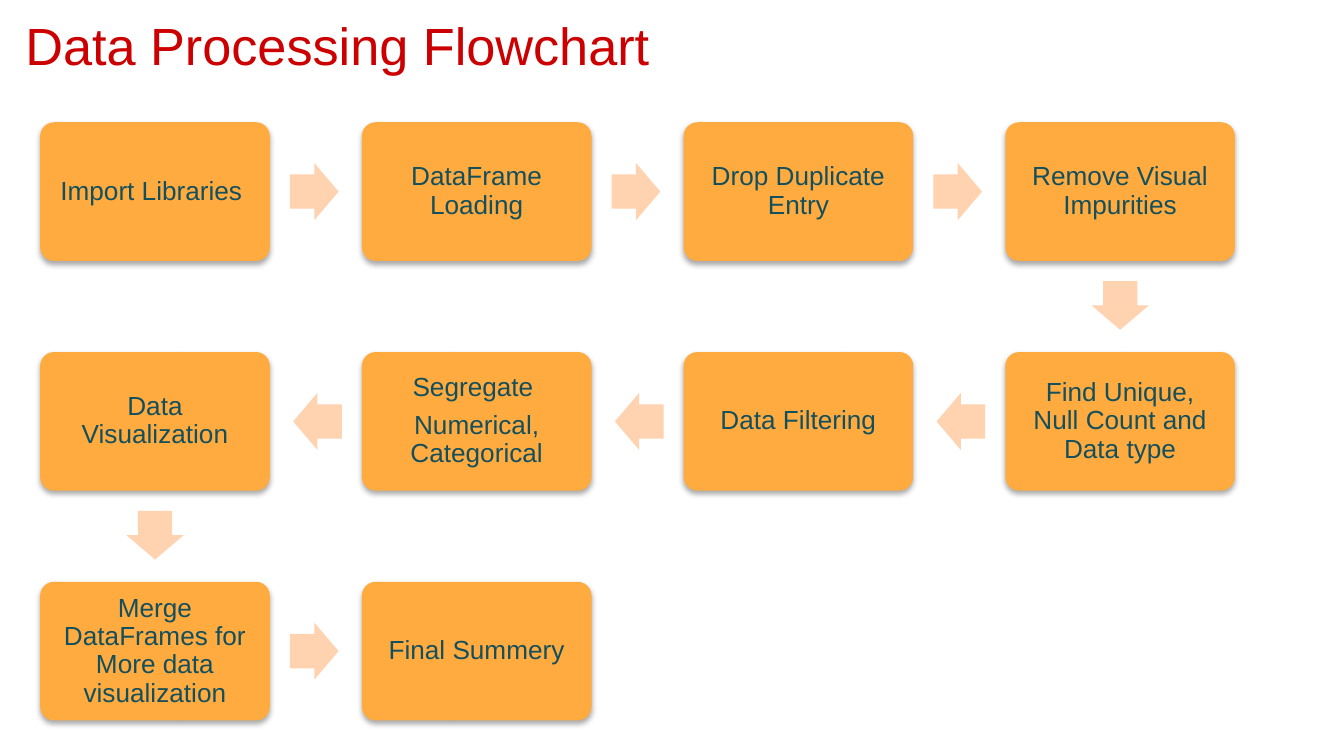
from dataclasses import dataclass

from lxml.etree import SubElement
from pptx import Presentation
from pptx.dml.color import RGBColor
from pptx.enum.shapes import MSO_SHAPE as Shape
from pptx.enum.text import MSO_ANCHOR as Anchor, PP_ALIGN as Align
from pptx.oxml.ns import qn
from pptx.util import Cm, Pt


@dataclass(frozen=True)
class Theme:
    font: str = "Arial"
    title: RGBColor = RGBColor(0xCC, 0x00, 0x00)
    box: RGBColor = RGBColor(0xFF, 0xAB, 0x40)
    arrow: RGBColor = RGBColor(0xFF, 0xD2, 0xB0)
    text: RGBColor = RGBColor(0x13, 0x4F, 0x5C)
    title_size: Pt = Pt(28)
    text_size: Pt = Pt(14)
    after: Pt = Pt(4.9)


@dataclass(frozen=True)
class Step:
    lines: tuple[str, ...]
    col: int
    row: int

    @property
    def center(self) -> tuple[int, int]:
        return (LEFT + self.col * PITCH_X + BOX_W // 2,
                TOP + self.row * PITCH_Y + BOX_H // 2)


THEME = Theme()
COLUMNS = 4
LEFT, TOP = Cm(0.76), Cm(2.31)
BOX_W, BOX_H = Cm(4.34), Cm(2.62)
PITCH_X, PITCH_Y = Cm(6.08), Cm(4.34)
ARROW_W, ARROW_H, ARROW_REACH = Cm(0.92), Cm(1.08), Cm(0.84)
ROTATION = {(1, 0): 0, (0, 1): 90, (-1, 0): 180}

LABELS = (
    ("Import Libraries ",),
    ("DataFrame Loading",),
    ("Drop Duplicate Entry",),
    ("Remove Visual Impurities",),
    ("Find Unique, Null Count and Data type",),
    ("Data Filtering",),
    ("Segregate ", "Numerical, Categorical"),
    ("Data Visualization",),
    ("Merge DataFrames for More data visualization",),
    ("Final Summery",),
)


def snake(labels: tuple[tuple[str, ...], ...]) -> list[Step]:
    """Place the steps in rows that run alternately right and left."""
    steps = []
    for i, lines in enumerate(labels):
        row, col = divmod(i, COLUMNS)
        steps.append(Step(lines, COLUMNS - 1 - col if row % 2 else col, row))
    return steps


def add_run(p, text: str, size: Pt, color: RGBColor) -> None:
    r = p.add_run()
    r.text = text
    r.font.name, r.font.size = THEME.font, size
    r.font.color.rgb = color


def set_insets(tf, inset: int) -> None:
    tf.margin_left = tf.margin_right = inset
    tf.margin_top = tf.margin_bottom = inset


def add_centered(s, kind: Shape, x: int, y: int, w: int, h: int, fill: RGBColor):
    sp = s.shapes.add_shape(kind, x - w // 2, y - h // 2, w, h)
    sp.shadow.inherit = False
    sp.fill.solid()
    sp.fill.fore_color.rgb = fill
    sp.line.fill.background()
    return sp


def add_shadow(sp) -> None:
    effects = sp._element.spPr.find(qn("a:effectLst"))
    shadow = SubElement(effects, qn("a:outerShdw"), blurRad=str(Pt(3.1)),
                        dist=str(Pt(1.8)), dir="5400000", rotWithShape="0")
    color = SubElement(shadow, qn("a:srgbClr"), val="000000")
    SubElement(color, qn("a:alpha"), val="35000")


def add_box(s, step: Step) -> None:
    sp = add_centered(s, Shape.ROUNDED_RECTANGLE, *step.center, BOX_W, BOX_H, THEME.box)
    sp.adjustments[0] = 0.1
    add_shadow(sp)
    tf = sp.text_frame
    tf.word_wrap, tf.vertical_anchor = True, Anchor.MIDDLE
    set_insets(tf, Cm(0.23))
    for i, line in enumerate(step.lines):
        p = tf.add_paragraph() if i else tf.paragraphs[0]
        p.alignment, p.line_spacing, p.space_after = Align.CENTER, 0.9, THEME.after
        add_run(p, line, THEME.text_size, THEME.text)


def add_arrow(s, step: Step, following: Step) -> None:
    """Put a block arrow just outside the box, pointing to the next one."""
    dx, dy = following.col - step.col, following.row - step.row
    x, y = step.center
    sp = add_centered(s, Shape.RIGHT_ARROW, x + dx * (BOX_W // 2 + ARROW_REACH),
                      y + dy * (BOX_H // 2 + ARROW_REACH), ARROW_W, ARROW_H, THEME.arrow)
    sp.adjustments[0], sp.adjustments[1] = 0.6, 0.5
    sp.rotation = ROTATION[dx, dy]


def add_title(s, text: str) -> None:
    sp = s.shapes.title
    sp.left, sp.top, sp.width, sp.height = Cm(0.23), Cm(0), Cm(23.67), Cm(1.6)
    tf = sp.text_frame
    tf.word_wrap, tf.vertical_anchor = True, Anchor.TOP
    set_insets(tf, Cm(0.25))
    p = tf.paragraphs[0]
    p.alignment = Align.LEFT
    add_run(p, text, THEME.title_size, THEME.title)


def main() -> None:
    prs = Presentation()
    prs.slide_width, prs.slide_height = Cm(25.4), Cm(14.28)
    s = prs.slides.add_slide(prs.slide_layouts[5])
    add_title(s, "Data Processing Flowchart")
    steps = snake(LABELS)
    for i, step in enumerate(steps):
        add_box(s, step)
        if i + 1 < len(steps):
            add_arrow(s, step, steps[i + 1])
    prs.save("out.pptx")


if __name__ == "__main__":
    main()
